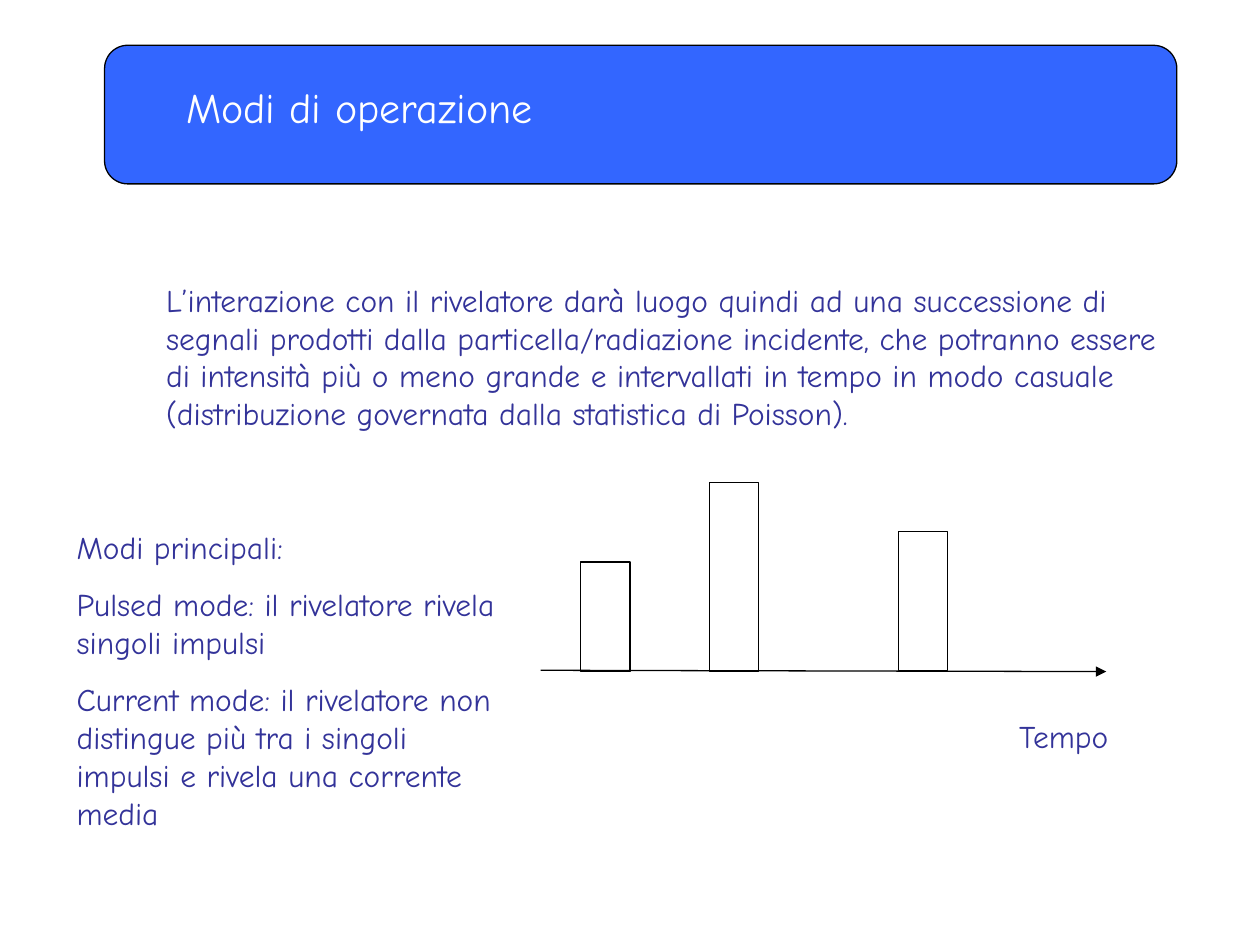
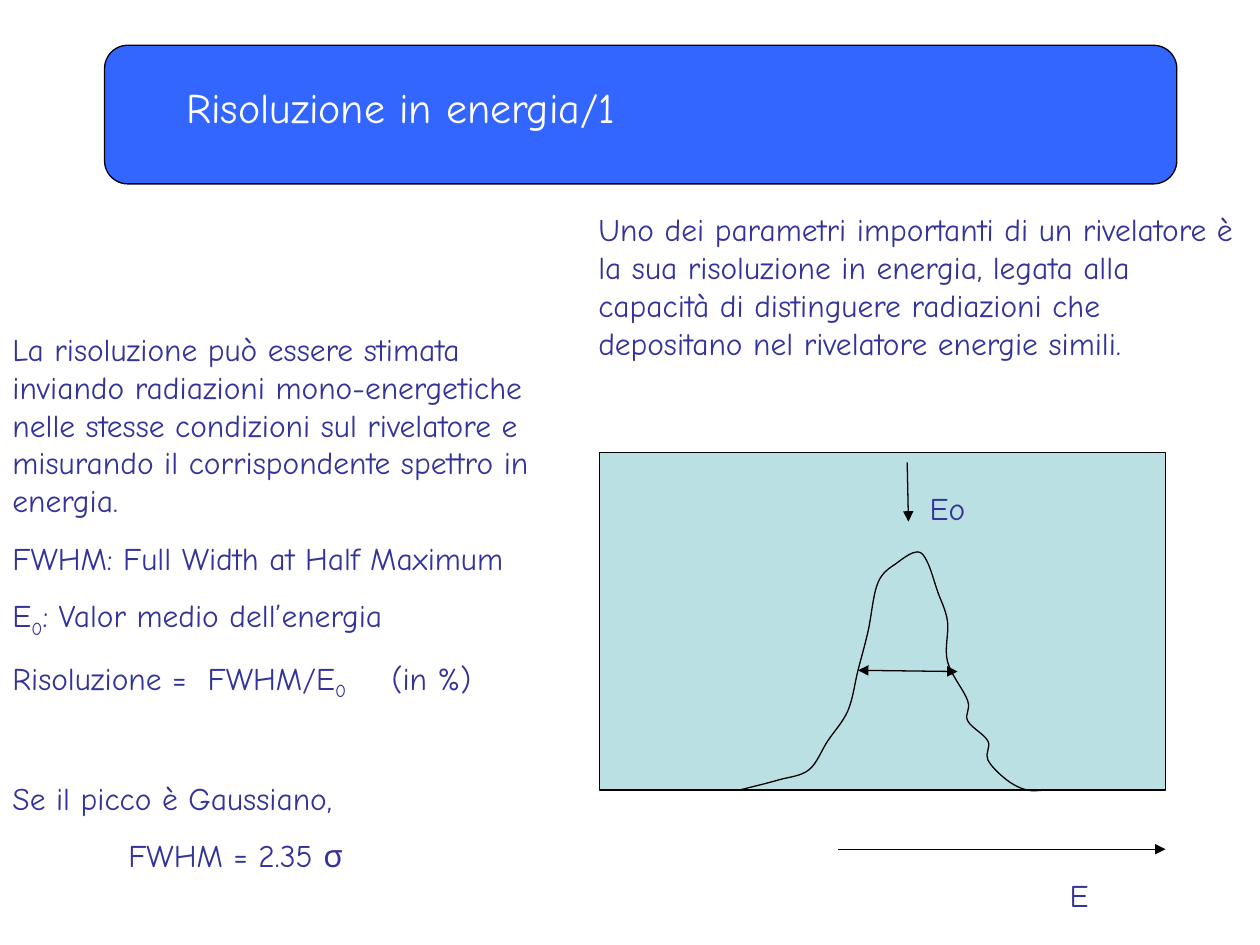
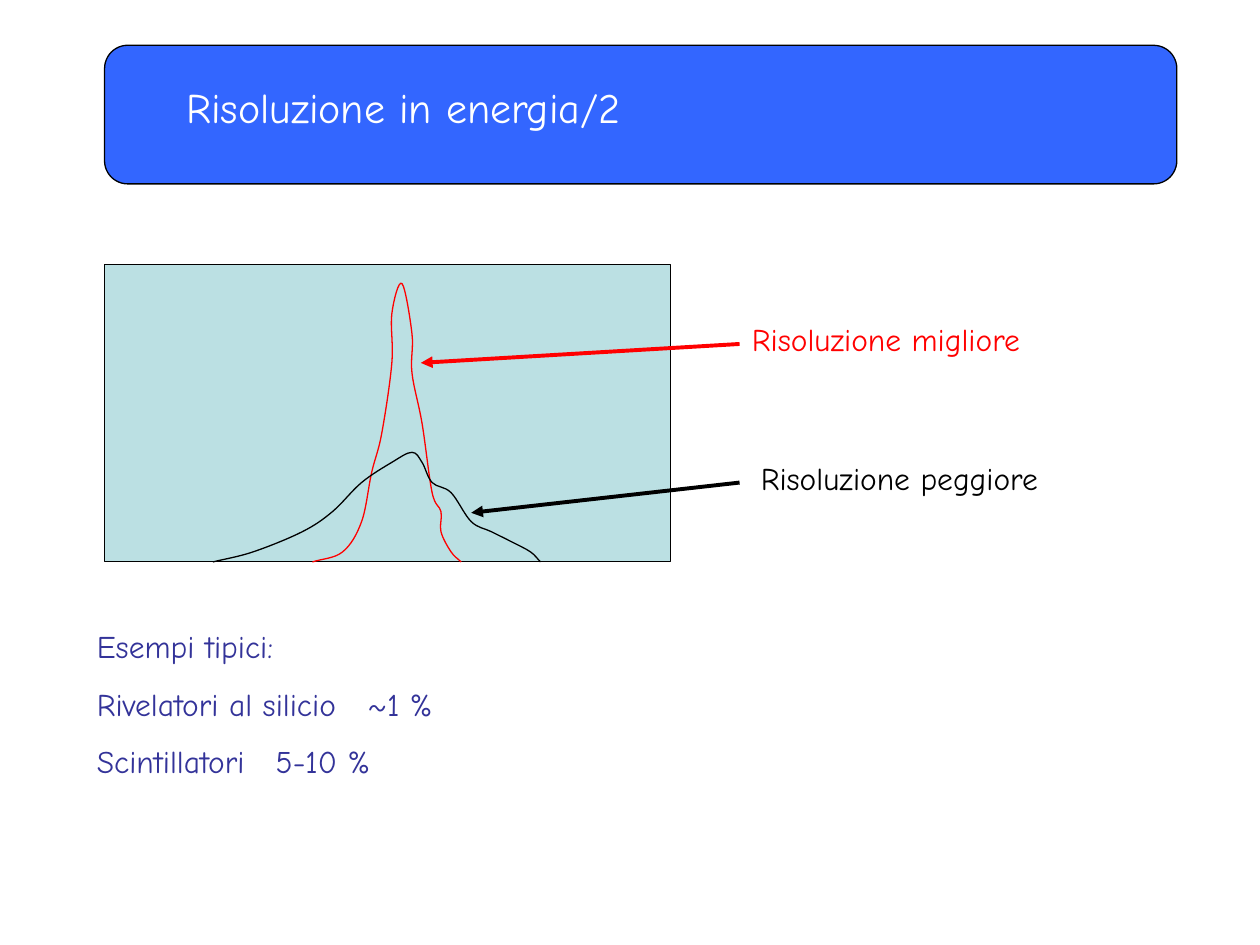
from lxml import etree
from pptx import Presentation
from pptx.dml.color import RGBColor
from pptx.enum.shapes import MSO_CONNECTOR, MSO_SHAPE
from pptx.oxml.ns import qn
from pptx.util import Inches, Pt

RECTANGLE = MSO_SHAPE.RECTANGLE
ROUNDED = MSO_SHAPE.ROUNDED_RECTANGLE
STRAIGHT = MSO_CONNECTOR.STRAIGHT

# Shared style
FONT = "Comic Neue"
BLUE, INK, PANEL = "3366FF", "333399", "BBE0E3"
BLACK, WHITE, RED = "000000", "FFFFFF", "FF0000"
BODY_SIZE, TITLE_SIZE = 18, 24
PARAGRAPH_GAP = 11.2
BLANK_LINE_GAP = 44
THIN, THICK = 0.75, 2.25
BAND = (0.83, 0.36, 8.51, 1.1)
TITLE_LEFT, TITLE_TOP, TITLE_HEIGHT = 1.38, 0.6, 0.5
PANEL_WIDTH = 4.49

# Content: a paragraph is a string or (string, format); |text| is subscript
POISSON = (
    "L’interazione con il rivelatore darà luogo quindi ad una successione di "
    "segnali prodotti dalla particella/radiazione incidente, che potranno essere "
    "di intensità più o meno grande e intervallati in tempo in modo casuale "
    "(distribuzione governata dalla statistica di Poisson)."
)
MODES = [
    "Modi principali:",
    "Pulsed mode: il rivelatore rivela singoli impulsi",
    "Current mode: il rivelatore non distingue più tra i singoli impulsi "
    "e rivela una corrente media",
]
RESOLUTION = (
    "Uno dei parametri importanti di un rivelatore è la sua risoluzione in "
    "energia, legata alla capacità di distinguere radiazioni che depositano "
    "nel rivelatore energie simili."
)
ESTIMATE = [
    "La risoluzione può essere stimata inviando radiazioni mono-energetiche "
    "nelle stesse condizioni sul rivelatore e misurando il corrispondente "
    "spettro in energia.",
    "FWHM: Full Width at Half Maximum",
    "E|0|: Valor medio dell’energia",
    ("Risoluzione =\tFWHM/E|0|\t(in %)", {"tabs": [1.55, 3.01]}),
    ("Se il picco è Gaussiano,", {"before": BLANK_LINE_GAP}),
    ("FWHM = 2.35 σ", {"indent": 0.92}),
]
EXAMPLES = [
    "Esempi tipici:",
    ("Rivelatori al silicio\t~1 %", {"tabs": [2.15]}),
    ("Scintillatori\t5-10 %", {"tabs": [1.42]}),
]

# Signals: left edge, top and height of each pulse
PULSES = [(4.61, 4.46, 0.87), (5.63, 3.83, 1.5), (7.13, 4.22, 1.1)]
PULSE_WIDTH = 0.39

# Spectra: points that each curve passes through
PEAK = [
    (5.87, 6.27), (6.18, 6.19), (6.42, 6.11), (6.57, 5.88), (6.73, 5.64),
    (6.81, 5.32), (6.89, 5.01), (6.97, 4.62), (7.13, 4.46), (7.28, 4.38),
    (7.36, 4.46), (7.44, 4.69), (7.52, 4.93), (7.52, 5.25), (7.68, 5.56),
    (7.68, 5.72), (7.84, 5.88), (7.84, 6.03), (7.99, 6.19), (8.15, 6.27),
    (8.31, 6.27),
]
NARROW_PEAK = [
    (2.48, 4.46), (2.72, 4.38), (2.87, 4.14), (2.95, 3.75), (3.03, 3.44),
    (3.11, 2.88), (3.11, 2.49), (3.19, 2.25), (3.27, 2.65), (3.27, 2.96),
    (3.35, 3.36), (3.43, 3.91), (3.5, 4.06), (3.5, 4.22), (3.58, 4.38),
    (3.66, 4.46),
]
WIDE_PEAK = [
    (1.69, 4.46), (2.01, 4.38), (2.4, 4.22), (2.64, 4.06), (2.87, 3.83),
    (3.11, 3.67), (3.27, 3.59), (3.35, 3.67), (3.43, 3.83), (3.58, 3.91),
    (3.74, 4.14), (3.9, 4.22), (4.06, 4.3), (4.21, 4.38), (4.29, 4.46),
]
# Label, label box, arrow start, arrow end, colour
COMPARISON = [
    ("Risoluzione migliore", (5.87, 2.49, 3.23, 0.4), (5.87, 2.73), (3.34, 2.88), RED),
    ("Risoluzione peggiore", (5.94, 3.59, 3.23, 0.4), (5.87, 3.83), (3.74, 4.07), BLACK),
]


def color(value):
    return RGBColor.from_string(value)


def inches(values):
    return [Inches(value) for value in values]


def set_line(line, line_color, width):
    line.color.rgb = color(line_color)
    line.width = Pt(width)


def add_text(slide, box, paragraphs, size=BODY_SIZE, text_color=INK):
    frame = slide.shapes.add_textbox(*inches(box)).text_frame
    frame.word_wrap = True
    for index, item in enumerate(paragraphs):
        text, layout = (item, {}) if isinstance(item, str) else item
        paragraph = frame.add_paragraph() if index else frame.paragraphs[0]
        properties = paragraph._p.get_or_add_pPr()
        if index:
            paragraph.space_before = Pt(layout.get("before", PARAGRAPH_GAP))
        if "indent" in layout:
            properties.set("marL", str(Inches(layout["indent"])))
        if "tabs" in layout:
            stops = etree.SubElement(properties, qn("a:tabLst"))
            for position in layout["tabs"]:
                etree.SubElement(stops, qn("a:tab"), pos=str(Inches(position)), algn="l")
        for part, words in enumerate(text.split("|")):
            run = paragraph.add_run()
            run.text = words
            run.font.name = FONT
            run.font.size = Pt(size)
            run.font.color.rgb = color(text_color)
            if part % 2:
                run._r.get_or_add_rPr().set("baseline", "-25000")


def add_box(slide, box, fill=None, kind=RECTANGLE):
    shape = slide.shapes.add_shape(kind, *inches(box))
    shape.shadow.inherit = False
    if fill:
        shape.fill.solid()
        shape.fill.fore_color.rgb = color(fill)
    else:
        shape.fill.background()
    set_line(shape.line, BLACK, THIN)
    return shape


def add_arrow(slide, start, end, line_color=BLACK, width=THIN, ends=("tailEnd",)):
    connector = slide.shapes.add_connector(STRAIGHT, *inches(start + end))
    set_line(connector.line, line_color, width)
    outline = connector.line._get_or_add_ln()
    for end_name in ends:
        etree.SubElement(outline, qn("a:" + end_name), type="triangle")
    etree.SubElement(connector._element.spPr, qn("a:effectLst"))


def bend_segments(curve):
    """Turn the straight segments of an outline into a smooth spline."""
    element = curve._element
    points = [(int(point.get("x")), int(point.get("y")))
              for point in element.iter(qn("a:pt"))]
    slopes = [
        tuple((b - a) / (2 if 0 < i < len(points) - 1 else 1)
              for a, b in zip(points[max(i - 1, 0)], points[min(i + 1, len(points) - 1)]))
        for i in range(len(points))
    ]
    for i, segment in enumerate(list(element.iter(qn("a:lnTo")))):
        segment.tag = qn("a:cubicBezTo")
        controls = [
            [p + s / 3 for p, s in zip(points[i], slopes[i])],
            [p - s / 3 for p, s in zip(points[i + 1], slopes[i + 1])],
        ]
        for position, (x, y) in enumerate(controls):
            control = etree.Element(qn("a:pt"), x=str(round(x)), y=str(round(y)))
            segment.insert(position, control)


def add_curve(slide, points, line_color=BLACK):
    vertices = [inches(point) for point in points]
    builder = slide.shapes.build_freeform(*vertices[0])
    builder.add_line_segments(vertices[1:], close=False)
    curve = builder.convert_to_shape()
    bend_segments(curve)
    curve.shadow.inherit = False
    curve.fill.background()
    set_line(curve.line, line_color, THIN)


def add_titled_slide(presentation, title, title_width=5.12):
    slide = presentation.slides.add_slide(presentation.slide_layouts[6])
    add_box(slide, BAND, BLUE, ROUNDED).adjustments[0] = 0.167
    title_box = (TITLE_LEFT, TITLE_TOP, title_width, TITLE_HEIGHT)
    add_text(slide, title_box, [title], size=TITLE_SIZE, text_color=WHITE)
    return slide


def build_modes(presentation):
    slide = add_titled_slide(presentation, "Modi di operazione", title_width=3.78)
    add_text(slide, (1.22, 2.18, 8.19, 1.3), [POISSON])
    add_arrow(slide, (4.29, 5.32), (8.78, 5.33))
    for left, top, height in PULSES:
        add_box(slide, (left, top, PULSE_WIDTH, height))
    add_text(slide, (7.99, 5.64, 1.26, 0.4), ["Tempo"])
    add_text(slide, (0.51, 4.14, 3.54, 2.52), MODES)


def build_resolution(presentation):
    slide = add_titled_slide(presentation, "Risoluzione in energia/1")
    add_text(slide, (4.65, 1.62, 5.35, 1.3), [RESOLUTION])
    add_text(slide, (0, 2.57, 4.45, 4.42), ESTIMATE)
    add_box(slide, (4.76, 3.59, PANEL_WIDTH, 2.68), PANEL)
    add_curve(slide, PEAK)
    # Energy axis, width at half maximum, mean energy
    add_arrow(slide, (6.65, 6.74), (9.25, 6.74))
    add_text(slide, (8.39, 6.9, 0.71, 0.4), ["E"])
    add_arrow(slide, (6.81, 5.32), (7.6, 5.33), ends=("headEnd", "tailEnd"))
    add_arrow(slide, (7.2, 3.67), (7.21, 4.14))
    add_text(slide, (7.28, 3.83, 0.55, 0.4), ["Eo"])


def build_comparison(presentation):
    slide = add_titled_slide(presentation, "Risoluzione in energia/2")
    add_box(slide, (0.83, 2.1, PANEL_WIDTH, 2.36), PANEL)
    add_curve(slide, NARROW_PEAK, RED)
    add_curve(slide, WIDE_PEAK)
    for label, box, start, end, label_color in COMPARISON:
        add_text(slide, box, [label], text_color=label_color)
        add_arrow(slide, start, end, label_color, THICK)
    add_text(slide, (0.67, 4.93, 3.54, 1.32), EXAMPLES)


def main():
    presentation = Presentation()
    presentation.slide_width, presentation.slide_height = Inches(10), Inches(7.5)
    build_modes(presentation)
    build_resolution(presentation)
    build_comparison(presentation)
    presentation.save("out.pptx")


if __name__ == "__main__":
    main()
